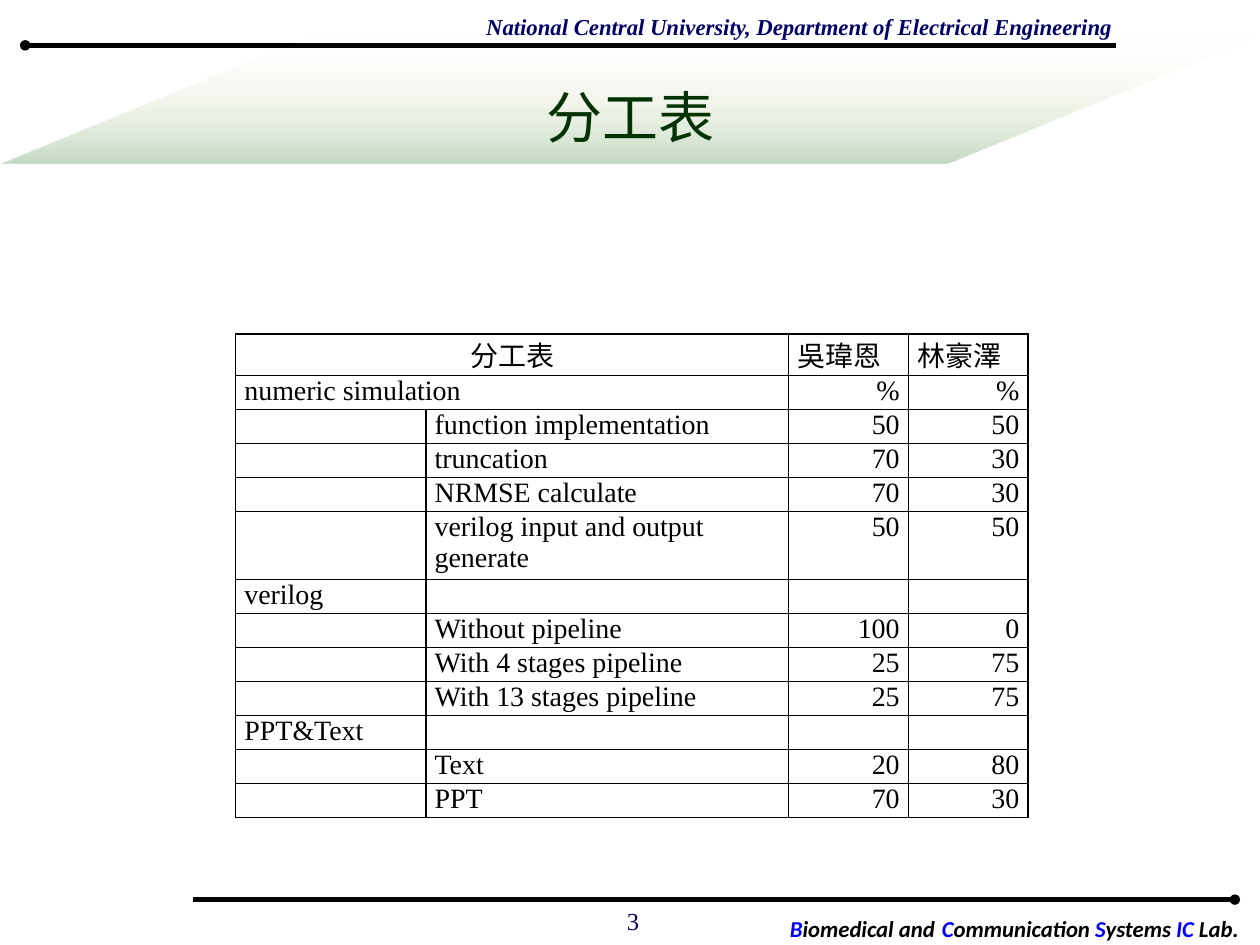
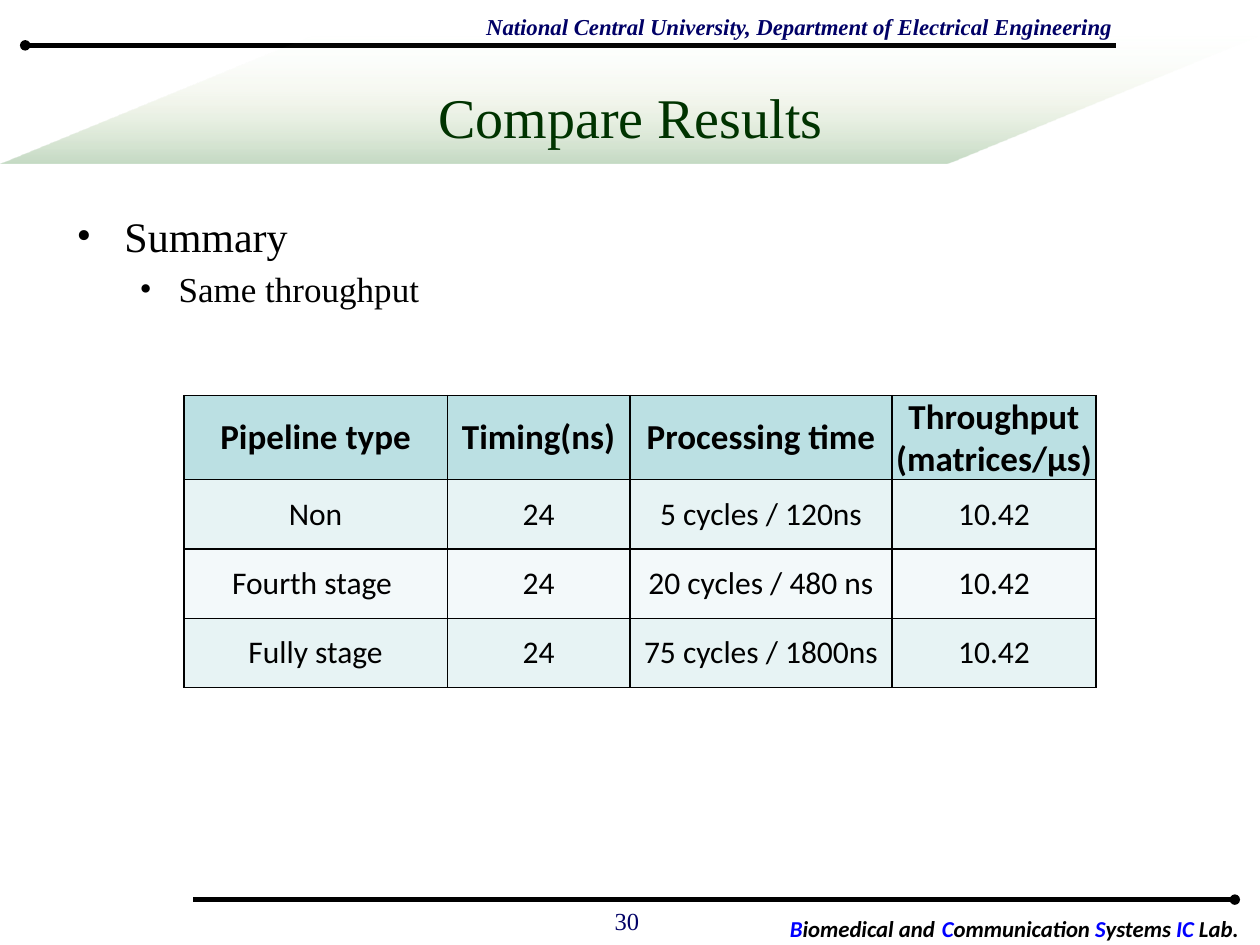
"""Build two report slides: a table of shared work and a comparison of results."""
from dataclasses import dataclass

from lxml import etree
from pptx import Presentation
from pptx.dml.color import RGBColor
from pptx.enum import shapes, text
from pptx.oxml import ns
from pptx import util as u


@dataclass(frozen=True)
class Theme:
    """Hold colours, fonts and type sizes."""
    black: str = "000000"
    white: str = "FFFFFF"
    navy: str = "000066"
    green: str = "003300"
    blue: str = "0000FF"
    head_fill: str = "BBE0E3"
    row_fills: tuple = ("E7F3F4", "F3F9FA")
    band_stops: tuple = ((0, "DDEBCF", 0), (50, "9CB86E", 12), (100, "156B13", 25))
    serif: str = "Times New Roman"
    sans: str = "Calibri"
    chinese: str = "Noto Sans CJK SC"
    title: int = 32
    bullets: tuple = (24, 20)
    number: int = 14
    strip: int = 13
    strip_gap: int = 18
    work: int = 16
    results_head: int = 20
    results: int = 18


THEME = Theme()
LEFT, CENTER, RIGHT = text.PP_ALIGN.LEFT, text.PP_ALIGN.CENTER, text.PP_ALIGN.RIGHT

WORK_ROWS = [
    ("分工表", "", "吳瑋恩", "林豪澤"),
    ("numeric simulation", "", "%", "%"),
    ("", "function implementation", "50", "50"),
    ("", "truncation", "70", "30"),
    ("", "NRMSE calculate", "70", "30"),
    ("", "verilog input and output generate", "50", "50"),
    ("verilog", "", "", ""),
    ("", "Without pipeline", "100", "0"),
    ("", "With 4 stages pipeline", "25", "75"),
    ("", "With 13 stages pipeline", "25", "75"),
    ("PPT&Text", "", "", ""),
    ("", "Text", "20", "80"),
    ("", "PPT", "70", "30"),
]
WORK_HEIGHTS = [0.33] + [0.27] * 4 + [0.54] + [0.27] * 7
RESULT_ROWS = [
    ("Pipeline type", "Timing(ns)", "Processing time", "Throughput\n(matrices/µs)"),
    ("Non", "24", "5 cycles / 120ns", "10.42"),
    ("Fourth stage ", "24", "20 cycles / 480 ns", "10.42"),
    ("Fully stage", "24", "75 cycles / 1800ns", "10.42"),
]
LAB_NAME = [
    ("B", THEME.blue), ("iomedical and", THEME.black), (" ", None),
    ("C", THEME.blue), ("ommunication ", THEME.black),
    ("S", THEME.blue), ("ystems ", THEME.black),
    ("IC", THEME.blue), (" Lab.", THEME.black),
]


def rgb(code):
    """Return a colour from its hex code."""
    return RGBColor.from_string(code)


def inches(*values):
    """Return a list of lengths in inches."""
    return [u.Inches(value) for value in values]


def add_xml(parent, tag, **attributes):
    """Append a drawing element to a parent and return it."""
    return etree.SubElement(parent, ns.qn(tag), attributes)


def add_span(para, words, size, font=THEME.serif, color=THEME.black, bold=False, italic=False):
    """Add formatted text to a paragraph."""
    span = para.add_run()
    span.text = words
    span.font.size = u.Pt(size)
    span.font.name = font
    span.font.bold, span.font.italic = bold, italic
    span.font.color.rgb = rgb(color)
    add_xml(span.font._element, "a:ea", typeface=font)


def add_box(page, place, wrap=True):
    """Add a text box and return its text frame."""
    frame = page.shapes.add_textbox(*inches(*place)).text_frame
    frame.word_wrap = wrap
    return frame


def add_rule(page, start, end):
    """Draw a thick line that starts with a dot."""
    rule = page.shapes.add_connector(shapes.MSO_CONNECTOR.STRAIGHT, *inches(*start, *end))
    rule.line.color.rgb = rgb(THEME.black)
    rule.line.width = u.Pt(3)
    add_xml(rule.line._get_or_add_ln(), "a:headEnd", type="oval", w="sm", len="sm")
    add_xml(rule.element.spPr, "a:effectLst")


def add_plain_shape(page, kind, place):
    """Add a preset shape without line or shadow."""
    shape = page.shapes.add_shape(kind, *inches(*place))
    shape.shadow.inherit = False
    shape.line.fill.background()
    return shape


def add_band(page):
    """Draw the slanted band that fades in behind the title."""
    band = add_plain_shape(page, shapes.MSO_SHAPE.PARALLELOGRAM, (0, 0.28, 10, 1.02))
    band.adjustments[0] = 2.44
    band.fill.background()
    properties = band.element.spPr
    gradient = etree.Element(ns.qn("a:gradFill"), rotWithShape="1")
    stops = add_xml(gradient, "a:gsLst")
    for position, color, opacity in THEME.band_stops:
        stop = add_xml(stops, "a:gs", pos=str(position * 1000))
        shade = add_xml(stop, "a:srgbClr", val=color)
        add_xml(shade, "a:alpha", val=str(opacity * 1000))
    add_xml(gradient, "a:lin", ang="5400000", scaled="0")
    properties.replace(properties.find(ns.qn("a:noFill")), gradient)


def add_lab_name(page):
    """Add the footer with the laboratory name."""
    strip = add_plain_shape(page, shapes.MSO_SHAPE.RECTANGLE, (6.1, 7.14, 3.9, 0.32))
    strip.fill.solid()
    strip.fill.fore_color.rgb = rgb(THEME.white)
    frame = strip.text_frame
    frame.word_wrap = True
    frame.auto_size = text.MSO_AUTO_SIZE.SHAPE_TO_FIT_TEXT
    frame.vertical_anchor = text.MSO_ANCHOR.TOP
    para = frame.paragraphs[0]
    para.alignment = CENTER
    for words, color in LAB_NAME:
        marked = color is not None
        add_span(para, words, THEME.strip if marked else THEME.strip_gap, font=THEME.sans,
                 color=color or THEME.black, bold=marked, italic=marked)


def add_title(page, words, font):
    """Fill the title placeholder and bring it in front of the band."""
    title = page.shapes.title
    title.left, title.top, title.width, title.height = inches(0.51, 0.3, 8.99, 1.25)
    title.text_frame.vertical_anchor = text.MSO_ANCHOR.MIDDLE
    para = title.text_frame.paragraphs[0]
    para.alignment = CENTER
    add_span(para, words, THEME.title, font=font, color=THEME.green)
    title.element.getparent().append(title.element)


def add_page(deck, title, number, font=THEME.serif):
    """Add a page with the shared header, band, footer and title."""
    page = deck.slides.add_slide(deck.slide_layouts[5])
    add_rule(page, (0.2, 0.36), (8.86, 0.36))
    header = add_box(page, (3.76, 0.05, 5.18, 0.32), wrap=False)
    add_span(header.paragraphs[0],
             "National Central University, Department of Electrical Engineering",
             THEME.strip, color=THEME.navy, bold=True, italic=True)
    add_band(page)
    add_lab_name(page)
    add_rule(page, (9.8, 7.14), (1.53, 7.14))
    add_title(page, title, font)
    para = add_box(page, (3.82, 7.14, 1.35, 0.36)).paragraphs[0]
    para.alignment = RIGHT
    add_span(para, number, THEME.number, color=THEME.navy)
    return page


def add_bullets(page, lines):
    """Add bullets, each one level deeper than the one before."""
    frame = add_box(page, (0.51, 1.62, 9, 5.2))
    for level, (words, size, margin, hang) in enumerate(lines):
        para = frame.add_paragraph() if level else frame.paragraphs[0]
        para.level = level
        para.space_before = u.Pt(size * 0.2)
        properties = para._p.get_or_add_pPr()
        properties.set("marL", str(u.Inches(margin)))
        properties.set("indent", str(-u.Inches(hang)))
        add_xml(properties, "a:buFont", typeface=THEME.serif)
        add_xml(properties, "a:buChar", char="•")
        add_span(para, words, size)


def add_grid(page, place, widths, heights):
    """Add a table without style bands and set its sizes."""
    frame = page.shapes.add_table(len(heights), len(widths), *inches(*place))
    table = frame.table
    table.first_row = table.horz_banding = False
    for column, width in zip(table.columns, widths):
        column.width = u.Inches(width)
    for row, height in zip(table.rows, heights):
        row.height = u.Inches(height)
    return table


def set_borders(cell):
    """Draw a thin black border on every side of a cell."""
    properties = cell._tc.get_or_add_tcPr()
    for index, side in enumerate("LRTB"):
        border = etree.Element(ns.qn(f"a:ln{side}"), w=str(u.Pt(1)))
        add_xml(add_xml(border, "a:solidFill"), "a:srgbClr", val=THEME.black)
        properties.insert(index, border)


def fill_cell(cell, words, align, margins, fill=None, anchor=text.MSO_ANCHOR.TOP, **style):
    """Write one table cell with its fill, margins and borders."""
    cell.margin_left = cell.margin_right = u.Inches(margins[0])
    cell.margin_top = cell.margin_bottom = u.Inches(margins[1])
    cell.vertical_anchor = anchor
    if fill:
        cell.fill.solid()
        cell.fill.fore_color.rgb = rgb(fill)
    else:
        cell.fill.background()
    set_borders(cell)
    for index, line in enumerate(words.split("\n")):
        para = cell.text_frame.add_paragraph() if index else cell.text_frame.paragraphs[0]
        para.alignment = align
        if line:
            add_span(para, line, **style)
        else:
            add_xml(para._p, "a:endParaRPr", sz=str(style["size"] * 100))


def add_work_table(page):
    """Add the table of each person's share of the work."""
    table = add_grid(page, (1.87, 2.65, 6.28, 3.81), (1.51, 2.88, 0.95, 0.95), WORK_HEIGHTS)
    for r, row in enumerate(WORK_ROWS):
        for c, words in enumerate(row):
            align = RIGHT if r and c > 1 else LEFT
            fill_cell(table.cell(r, c), words, align if r or c else CENTER, (0.07, 0),
                      size=THEME.work, font=THEME.serif if r else THEME.chinese)
    for r in range(2):
        table.cell(r, 0).merge(table.cell(r, 1))


def add_result_table(page):
    """Add the table that compares the pipeline types."""
    table = add_grid(page, (1.46, 3.14, 7.24, 2.32), (2.09, 1.45, 2.08, 1.62),
                     [0.55] * len(RESULT_ROWS))
    for r, row in enumerate(RESULT_ROWS):
        fill = THEME.row_fills[(r - 1) % 2] if r else THEME.head_fill
        for c, words in enumerate(row):
            fill_cell(table.cell(r, c), words, CENTER, (0, 0) if c == 3 else (0.1, 0.05),
                      fill=fill, anchor=text.MSO_ANCHOR.MIDDLE, font=THEME.sans,
                      size=THEME.results if r else THEME.results_head, bold=r == 0)


def main():
    """Build and save the deck."""
    deck = Presentation()
    deck.slide_width, deck.slide_height = inches(10, 7.5)
    add_work_table(add_page(deck, "分工表", "3", font=THEME.chinese))
    page = add_page(deck, "Compare Results", "30")
    add_bullets(page, [("Summary", THEME.bullets[0], 0.38, 0.38),
                       ("Same throughput", THEME.bullets[1], 0.81, 0.31)])
    add_result_table(page)
    deck.save("out.pptx")


if __name__ == "__main__":
    main()
